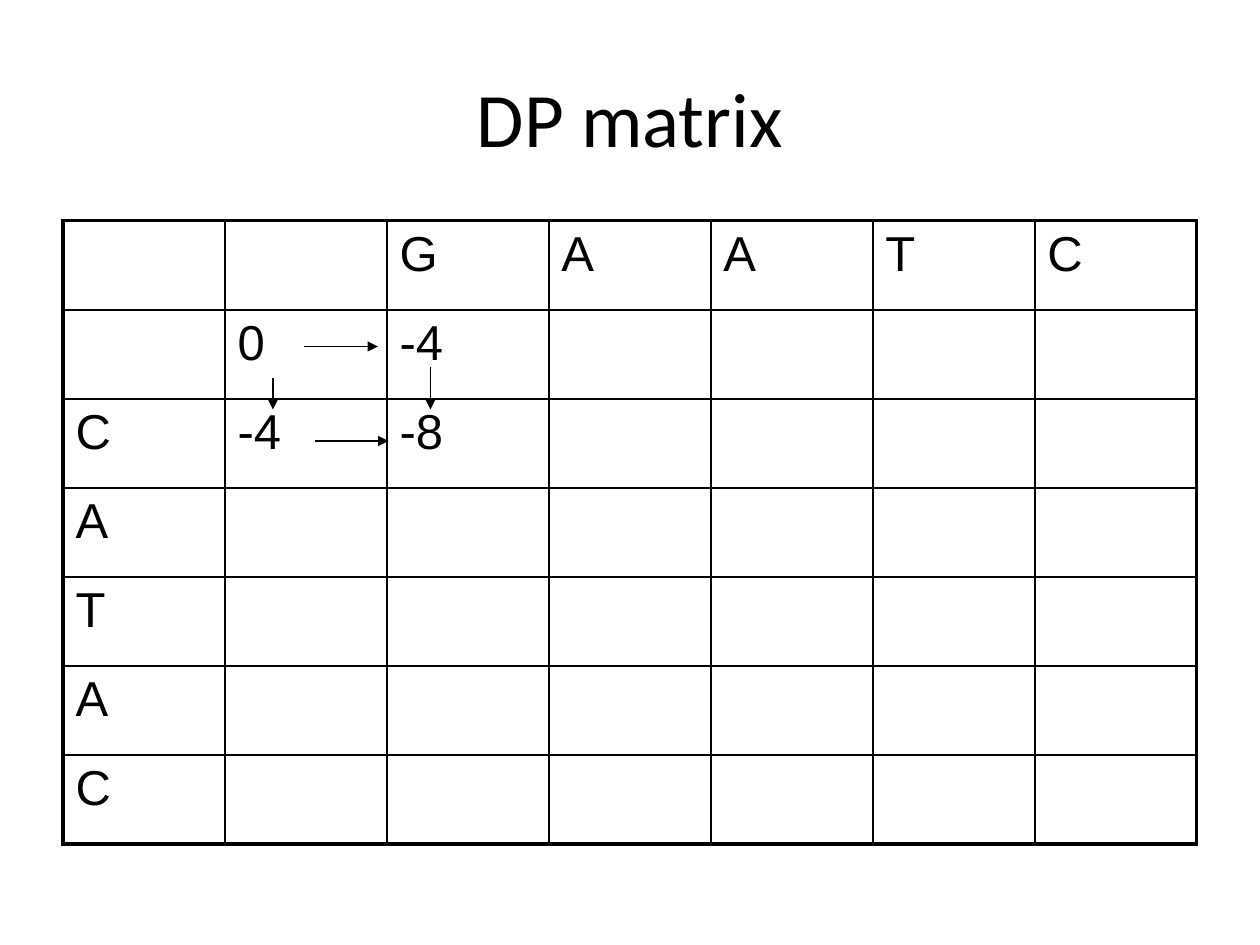
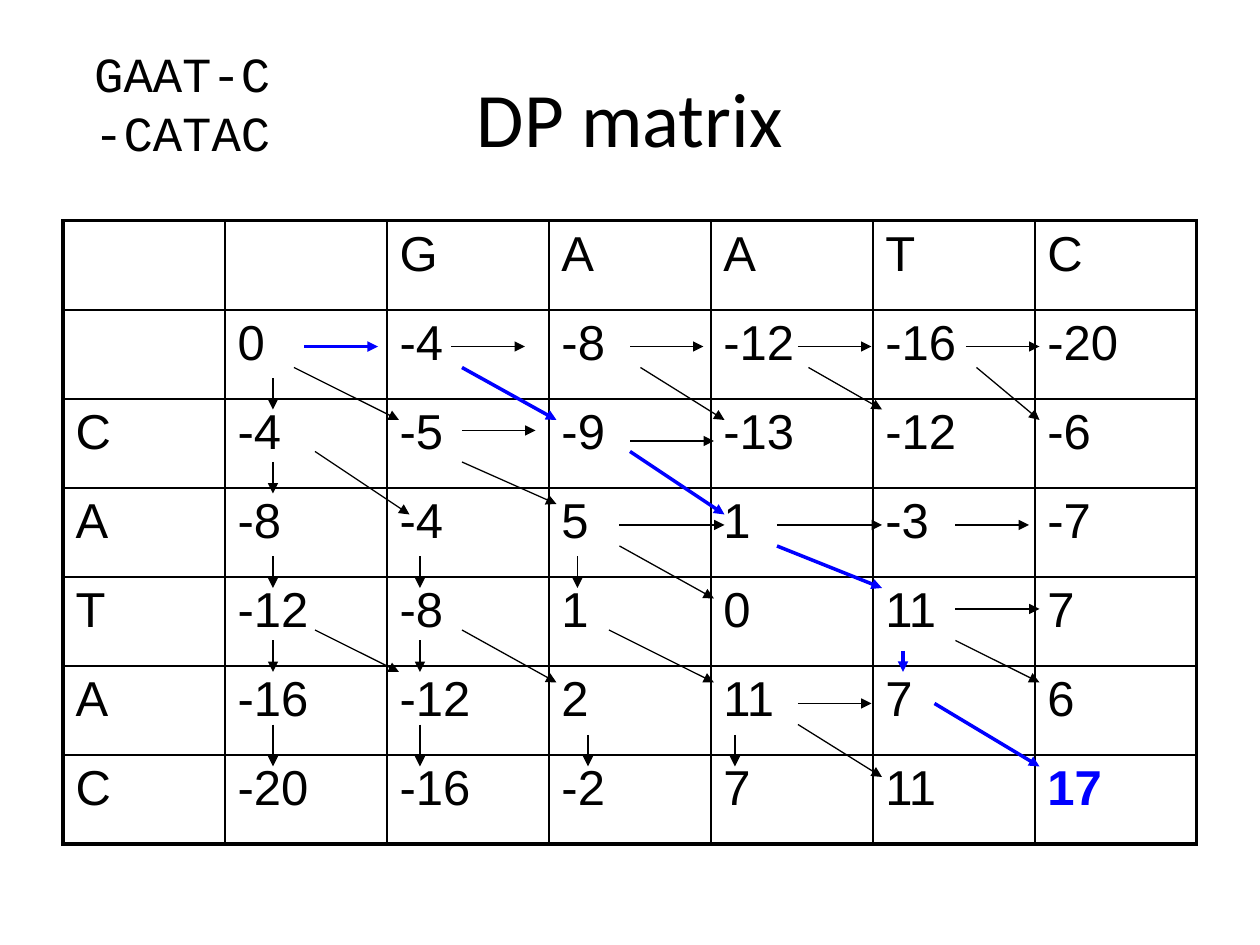
from lxml import etree
from pptx import Presentation
from pptx import util as u
from pptx.dml.color import RGBColor
from pptx.enum import shapes, text
from pptx.oxml.ns import qn

BLACK, BLUE = "000000", "0000FF"
GRID = 2.54 / 12  # arrows sit on a grid of twelfths of an inch
ACROSS, DOWN = "GAATC", "CATAC"


def color(hex_string):
    return RGBColor.from_string(hex_string)


class Deck:
    """Holds the shared style and the slide being filled."""

    def __init__(self):
        self.prs = Presentation()
        self.prs.slide_width, self.prs.slide_height = u.Cm(25.4), u.Cm(19.05)
        self.slide = None

    def new_slide(self, title):
        self.slide = self.prs.slides.add_slide(self.prs.slide_layouts[6])
        heading = self.text([title], 1.27, 0.76, 22.86, 3.18, "Calibri", 44)
        heading.vertical_anchor = text.MSO_ANCHOR.MIDDLE
        heading.paragraphs[0].alignment = text.PP_ALIGN.CENTER

    def font(self, paragraph, name, size, hex_string=BLACK, bold=False):
        font = paragraph.font
        font.name, font.size, font.bold = name, u.Pt(size), bold
        font.color.rgb = color(hex_string)

    def text(self, lines, left, top, width, height, name, size, wrap=True):
        box = self.slide.shapes.add_textbox(*map(u.Cm, (left, top, width, height)))
        frame = box.text_frame
        frame.word_wrap = wrap
        frame.text = "\n".join(lines)
        for paragraph in frame.paragraphs:
            self.font(paragraph, name, size)
        return frame

    def border(self, cell, side, points):
        line = etree.SubElement(cell._tc.get_or_add_tcPr(), qn("a:ln" + side),
                                w=str(u.Pt(points)))
        fill = etree.SubElement(line, qn("a:solidFill"))
        etree.SubElement(fill, qn("a:srgbClr"), val=BLACK)

    def matrix(self, scores, highlight=None):
        """Sequence letters on the top and left edges, scores inside."""
        rows, cols = len(DOWN) + 2, len(ACROSS) + 2
        table = self.slide.shapes.add_table(
            rows, cols, u.Cm(1.27), u.Cm(4.45), u.Cm(22.86), u.Cm(12.57)).table
        table.first_row = table.horz_banding = False
        entries = {(0, c): letter for c, letter in enumerate(ACROSS, 2)}
        entries.update({(r, 0): letter for r, letter in enumerate(DOWN, 2)})
        entries.update({(r, c): str(score) for r, row in enumerate(scores, 1)
                        for c, score in enumerate(row, 1)})
        for r in range(rows):
            for c in range(cols):
                cell = table.cell(r, c)
                edges = {"L": c == 0, "R": c == cols - 1,
                         "T": r == 0, "B": r == rows - 1}
                for side, outer in edges.items():
                    self.border(cell, side, 2.25 if outer else 1)
                cell.fill.background()
                cell.text = entries.get((r, c), "")
                marked = (r, c) == highlight
                self.font(cell.text_frame.paragraphs[0], "Arial", 28,
                          BLUE if marked else BLACK, marked)

    def arrows(self, moves, hex_string=BLACK, points=0.75):
        """Each move is x1, y1, x2, y2 in grid steps."""
        for move in moves:
            arrow = self.slide.shapes.add_connector(
                shapes.MSO_CONNECTOR.STRAIGHT, *(u.Cm(step * GRID) for step in move))
            arrow.line.color.rgb = color(hex_string)
            arrow.line.width = u.Pt(points)
            etree.SubElement(arrow.line._get_or_add_ln(), qn("a:tailEnd"), type="triangle")
            etree.SubElement(arrow._element.spPr, qn("a:effectLst"))


def right(y, *spans):
    return [(x1, y, x2, y) for x1, x2 in spans]


def down(x, *spans):
    return [(x, y1, x, y2) for y1, y2 in spans]


def main():
    deck = Deck()

    # First steps of the matrix
    deck.new_slide("DP matrix")
    deck.matrix([[0, -4], [-4, -8]])
    deck.arrows(right(42, (30, 37)) + down(41, (35, 39))
                + right(33, (29, 36)) + down(26, (36, 39)))

    # Completed matrix
    deck.new_slide("DP matrix")
    deck.matrix([
        [0, -4, -8, -12, -16, -20],
        [-4, -5, -9, -13, -12, -6],
        [-8, -4, 5, 1, -3, -7],
        [-12, -8, 1, 0, 11, 7],
        [-16, -12, 2, 11, 7, 6],
        [-20, -16, -2, 7, 11, 17],
    ], highlight=(6, 6))

    # Gap moves
    deck.arrows(down(26, (36, 39), (44, 47), (53, 56), (61, 64), (69, 73))
                + down(40, (53, 56), (61, 64), (69, 73))
                + down(55, (53, 56)) + down(56, (70, 73)) + down(70, (70, 73)))
    deck.arrows(right(33, (43, 50), (60, 67), (76, 83), (92, 99))
                + right(41, (44, 51)) + right(42, (60, 68))
                + right(50, (59, 69), (74, 84), (91, 98))
                + right(58, (91, 99)) + right(67, (76, 83)))

    # Match and mismatch moves
    deck.arrows([
        (28, 35, 38, 40), (61, 35, 69, 40), (77, 35, 84, 39), (93, 35, 99, 40),
        (30, 43, 39, 49), (44, 44, 53, 48), (59, 52, 68, 57), (30, 60, 38, 64),
        (44, 60, 53, 65), (58, 60, 68, 65), (91, 61, 99, 65), (76, 69, 84, 74),
    ])

    # Best path and its alignment
    best_path = [(29, 33, 36, 33), (44, 35, 53, 40), (60, 43, 69, 49),
                 (74, 52, 84, 56), (86, 62, 86, 64), (89, 67, 99, 73)]
    deck.arrows(best_path, BLUE, 2)
    alignment = deck.text(["GAAT-C", "-CATAC"], 1.65, 0.76, 4.06, 2.62,
                          "Courier New", 28, wrap=False)
    alignment.auto_size = text.MSO_AUTO_SIZE.SHAPE_TO_FIT_TEXT

    deck.prs.save("out.pptx")


if __name__ == "__main__":
    main()
